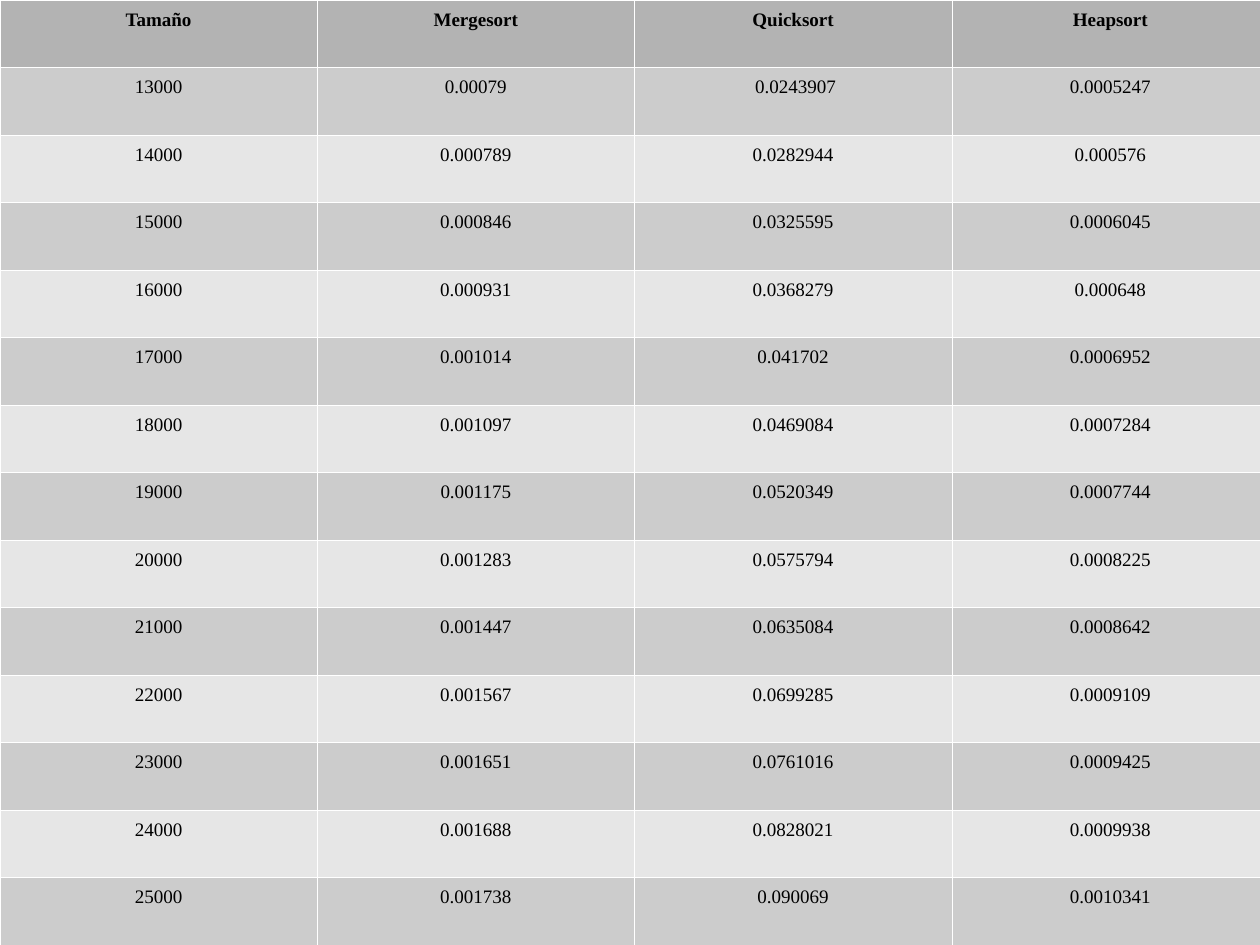
from dataclasses import dataclass
from typing import NamedTuple

from lxml.etree import SubElement
from pptx import Presentation
from pptx.dml.color import RGBColor
from pptx.enum.text import PP_ALIGN
from pptx.oxml.ns import qn
from pptx.table import _Cell
from pptx.util import Cm, Pt


@dataclass(frozen=True)
class Theme:
    font: str = "Times New Roman"
    text_size: Pt = Pt(12)
    line_spacing: float = 1.18
    text: str = "000000"
    header: str = "B3B3B3"
    bands: tuple[str, str] = ("CCCCCC", "E6E6E6")
    border: str = "FFFFFF"
    border_width: Pt = Pt(0.06)


class Timing(NamedTuple):
    size: str
    mergesort: str
    quicksort: str
    heapsort: str


THEME = Theme()
COLUMN_WIDTH = Cm(7.05)
ROW_HEIGHT = Cm(1.5)

HEADINGS = Timing("Tamaño", "Mergesort", "Quicksort", "Heapsort")
TIMINGS = [
    Timing("13000", "0.00079", " 0.0243907", "0.0005247"),
    Timing("14000", "0.000789", "0.0282944", "0.000576"),
    Timing("15000", "0.000846", "0.0325595", "0.0006045"),
    Timing("16000", "0.000931", "0.0368279", "0.000648"),
    Timing("17000", "0.001014", "0.041702", "0.0006952"),
    Timing("18000", "0.001097", "0.0469084", "0.0007284"),
    Timing("19000", "0.001175", "0.0520349", "0.0007744"),
    Timing("20000", "0.001283", "0.0575794", "0.0008225"),
    Timing("21000", "0.001447", "0.0635084", "0.0008642"),
    Timing("22000", "0.001567", "0.0699285", "0.0009109"),
    Timing("23000", "0.001651", "0.0761016", "0.0009425"),
    Timing("24000", "0.001688", "0.0828021", "0.0009938"),
    Timing("25000", "0.001738", "0.090069", "0.0010341"),
]


def add_borders(cell: _Cell) -> None:
    """Line all four sides; must run before the cell gets its fill."""
    properties = cell._tc.get_or_add_tcPr()
    for side in ("a:lnL", "a:lnR", "a:lnT", "a:lnB"):
        line = SubElement(properties, qn(side), w=str(int(THEME.border_width)))
        solid = SubElement(line, qn("a:solidFill"))
        SubElement(solid, qn("a:srgbClr"), val=THEME.border)


def write_cell(cell: _Cell, content: str, fill: str, bold: bool) -> None:
    add_borders(cell)
    cell.fill.solid()
    cell.fill.fore_color.rgb = RGBColor.from_string(fill)
    cell.text = content
    paragraph = cell.text_frame.paragraphs[0]
    paragraph.alignment = PP_ALIGN.CENTER
    paragraph.line_spacing = THEME.line_spacing
    paragraph.font.name = THEME.font
    paragraph.font.size = THEME.text_size
    paragraph.font.bold = bold
    paragraph.font.color.rgb = RGBColor.from_string(THEME.text)


def main() -> None:
    presentation = Presentation()
    presentation.slide_width = Cm(28)
    presentation.slide_height = Cm(21)
    slide = presentation.slides.add_slide(presentation.slide_layouts[6])

    rows = [HEADINGS, *TIMINGS]
    timings_table = slide.shapes.add_table(
        len(rows), len(HEADINGS), Cm(0), Cm(0),
        COLUMN_WIDTH * len(HEADINGS), ROW_HEIGHT * len(rows),
    ).table
    for row_index, timing in enumerate(rows):
        is_header = row_index == 0
        fill = THEME.header if is_header else THEME.bands[(row_index - 1) % 2]
        for column_index, content in enumerate(timing):
            cell = timings_table.cell(row_index, column_index)
            write_cell(cell, content, fill, bold=is_header)

    presentation.save("out.pptx")


if __name__ == "__main__":
    main()
